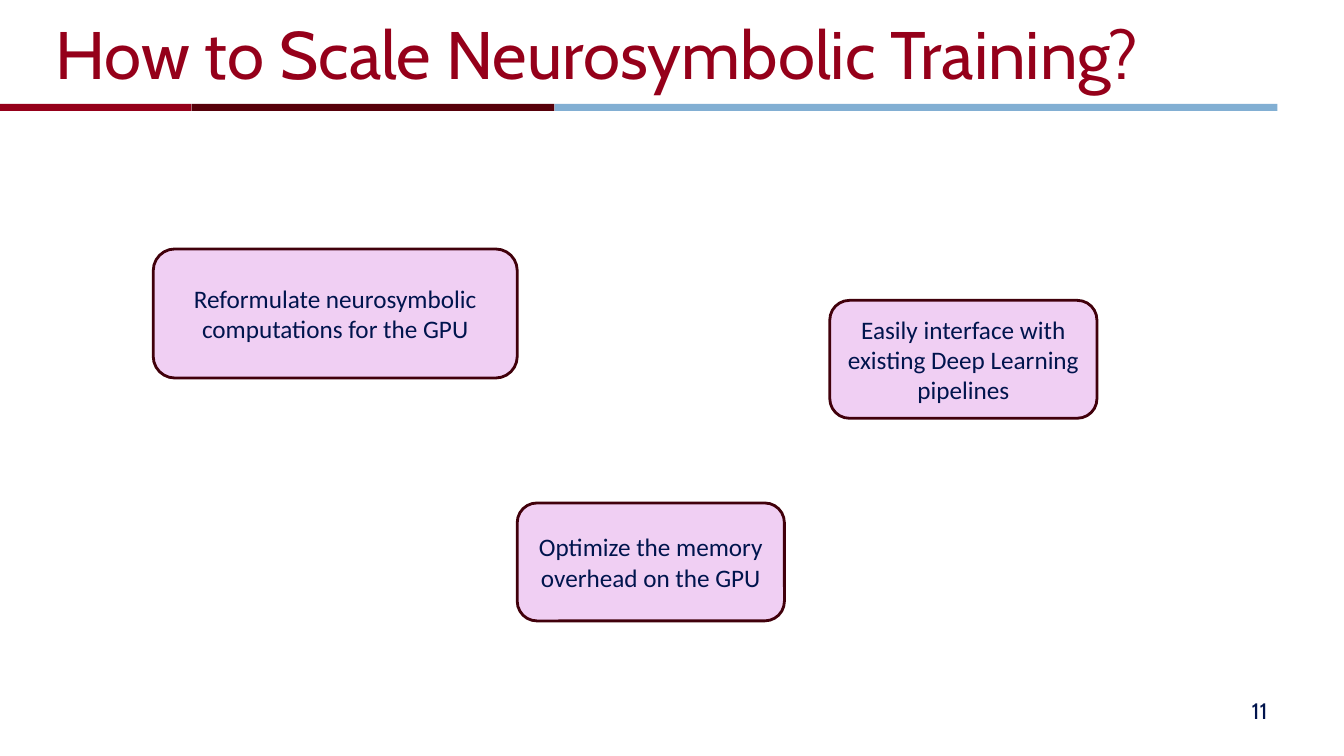
from dataclasses import dataclass
from pptx import Presentation
from pptx.dml.color import RGBColor as RGB
from pptx.enum.shapes import MSO_SHAPE as SHAPE
from pptx.enum.text import MSO_ANCHOR as ANCHOR, PP_ALIGN as ALIGN
from pptx.shapes.autoshape import Shape
from pptx.slide import Slide
from pptx.util import Inches, Pt


@dataclass(frozen=True)
class Theme:
    """Colours, fonts and type sizes of the slide."""
    red: str = "95001A"
    maroon: str = "57000A"
    blue: str = "82AFD3"
    navy: str = "00144D"
    pink: str = "F0CFF3"
    outline: str = "41000B"
    head_font: str = "Cabin"
    body_font: str = "Calibri"
    title_size: int = 48
    body_size: int = 18
    number_size: int = 16


@dataclass(frozen=True)
class Box:
    """Place and size in inches."""
    left: float
    top: float
    width: float
    height: float

    def lengths(self) -> tuple[Inches, ...]:
        """Return the four values as lengths."""
        return tuple(Inches(v) for v in (self.left, self.top, self.width, self.height))


@dataclass(frozen=True)
class Goal:
    """A goal and the box that holds it."""
    text: str
    box: Box


@dataclass(frozen=True)
class Band:
    """One coloured stretch of the rule under the title."""
    width: float
    color: str


THEME = Theme()
BAND_TOP, BAND_HEIGHT = 1.03, 0.07
BANDS = (Band(1.9, THEME.red), Band(3.6, THEME.maroon), Band(7.17, THEME.blue))
GOALS = (
    Goal("Reformulate neurosymbolic computations for the GPU", Box(1.52, 2.47, 3.61, 1.28)),
    Goal("Optimize the memory overhead on the GPU", Box(5.13, 4.99, 2.65, 1.17)),
    Goal("Easily interface with existing Deep Learning pipelines", Box(8.23, 2.98, 2.65, 1.17)),
)


def write(sp: Shape, text: str, *, size: int, font: str, color: str = THEME.navy,
          align: ALIGN = ALIGN.LEFT) -> None:
    """Put formatted, vertically centred text in a shape."""
    tf = sp.text_frame
    tf.word_wrap = True
    tf.vertical_anchor = ANCHOR.MIDDLE
    p = tf.paragraphs[0]
    p.alignment = align
    r = p.add_run()
    r.text = text
    r.font.size = Pt(size)
    r.font.name = font
    r.font.color.rgb = RGB.from_string(color)


def add_filled(s: Slide, kind: SHAPE, box: Box, fill: str) -> Shape:
    """Add a flat filled shape without an outline."""
    sp = s.shapes.add_shape(kind, *box.lengths())
    sp.shadow.inherit = False
    sp.fill.solid()
    sp.fill.fore_color.rgb = RGB.from_string(fill)
    sp.line.fill.background()
    return sp


def add_bands(s: Slide) -> None:
    """Draw the bands end to end from the left edge."""
    left = 0.0
    for band in BANDS:
        add_filled(s, SHAPE.RECTANGLE, Box(left, BAND_TOP, band.width, BAND_HEIGHT), band.color)
        left += band.width


def add_goal(s: Slide, goal: Goal) -> None:
    """Draw one outlined goal box."""
    sp = add_filled(s, SHAPE.ROUNDED_RECTANGLE, goal.box, THEME.pink)
    sp.line.color.rgb = RGB.from_string(THEME.outline)
    sp.line.width = Pt(2)
    write(sp, goal.text, size=THEME.body_size, font=THEME.body_font, align=ALIGN.CENTER)


def main() -> None:
    """Build and save the slide."""
    prs = Presentation()
    prs.slide_width, prs.slide_height = Inches(13.33), Inches(7.5)
    s = prs.slides.add_slide(prs.slide_layouts[6])
    add_bands(s)
    number = s.shapes.add_textbox(*Box(9.56, 6.85, 3.11, 0.4).lengths())
    write(number, "11", size=THEME.number_size, font=THEME.head_font, align=ALIGN.RIGHT)
    title = s.shapes.add_textbox(*Box(0.45, 0.02, 12, 1.01).lengths())
    write(title, "How to Scale Neurosymbolic Training?", size=THEME.title_size,
          font=THEME.head_font, color=THEME.red)
    for goal in GOALS:
        add_goal(s, goal)
    prs.save("out.pptx")


if __name__ == "__main__":
    main()
